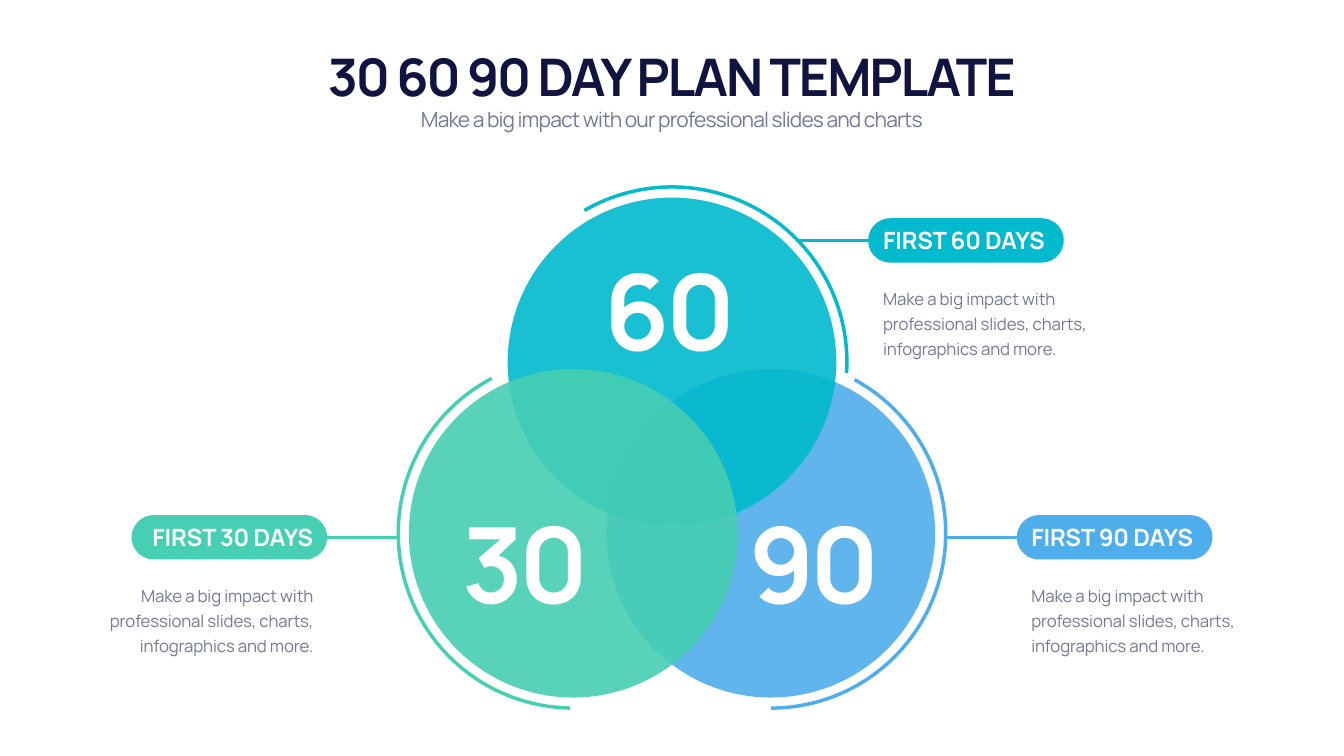
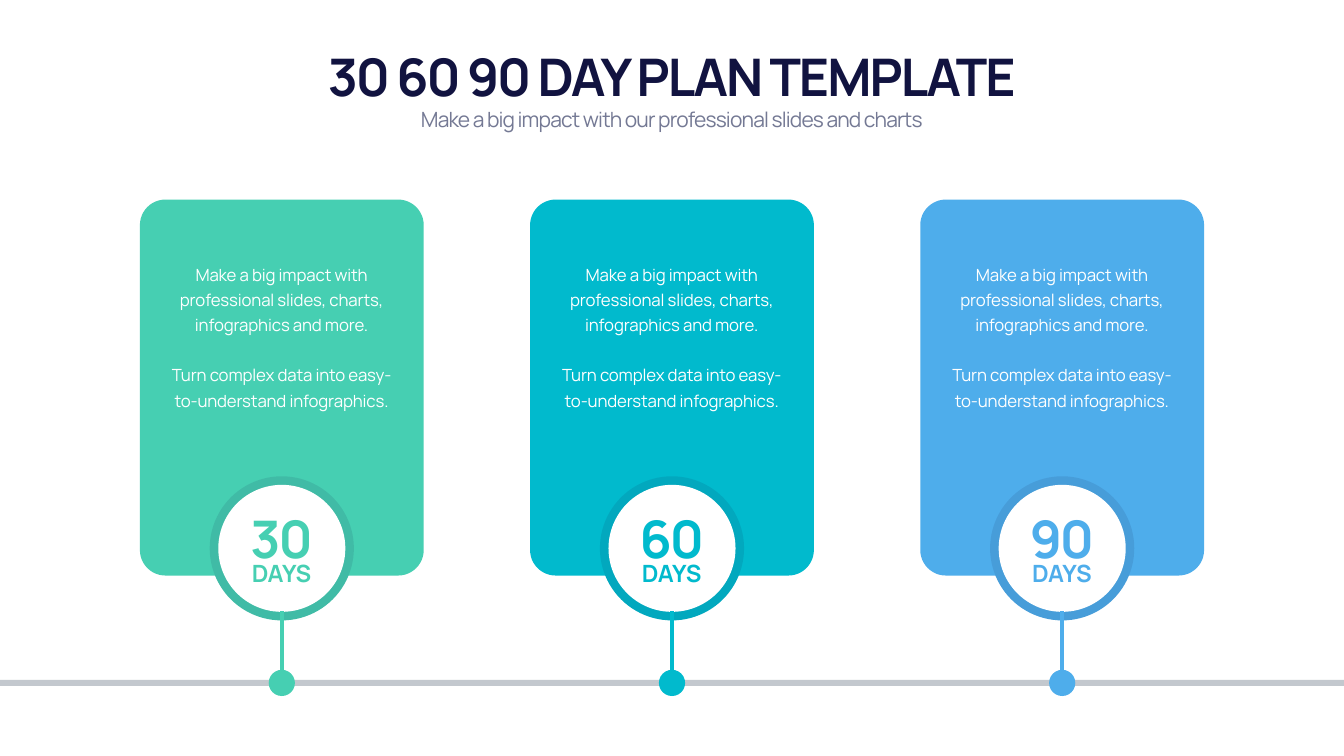
from lxml.etree import SubElement
from pptx import Presentation
from pptx.dml.color import RGBColor
from pptx.enum.shapes import MSO_CONNECTOR, MSO_SHAPE as SHAPE
from pptx.enum.text import MSO_ANCHOR as ANCHOR, MSO_AUTO_SIZE, PP_ALIGN as ALIGN
from pptx.oxml.ns import qn
from pptx.util import Inches, Pt

GREEN = RGBColor(0x46, 0xCF, 0xB2)
TEAL = RGBColor(0x01, 0xBA, 0xCD)
BLUE = RGBColor(0x4E, 0xAD, 0xEB)
NAVY = RGBColor(0x11, 0x13, 0x40)
SHADE = RGBColor(0x12, 0x11, 0x43)
SLATE = RGBColor(0x74, 0x79, 0x94)
RAIL = RGBColor(0xC3, 0xC8, 0xCE)
WHITE = RGBColor(0xFF, 0xFF, 0xFF)

FONT = "Manrope"
W, H = 26.66, 15
MID = W / 2

TITLE = "30 60 90 DAY PLAN TEMPLATE"
SUBTITLE = "Make a big impact with our professional slides and charts"
IMPACT = "Make a big impact with professional slides, charts, infographics and more."
TURN = "Turn complex data into easy-to-understand infographics."
STAGES = [("30", GREEN), ("60", TEAL), ("90", BLUE)]

# size, bold, letter spacing, line spacing
HEADING = (74, True, -2.9, None)
SUBHEAD = (30, False, -1.2, None)
LABEL = (34, True, -0.3, None)
BODY = (24, False, -0.2, 36)
HUGE = (150, True, -5.5, None)

VENN = {
    "30": dict(cx=MID - 1.96, cy=10.58, arc=(91, 242.3), num=(10.42, 11.13),
               line=(6.49, 7.9), pill=(2.61, 10.22), text_edge=6.31, align=ALIGN.RIGHT),
    "60": dict(cx=MID, cy=7.18, arc=(240, 3.6), num=(13.29, 6.12),
               line=(15.8, 17.23), pill=(17.22, 4.33), text_edge=17.42, align=ALIGN.LEFT),
    "90": dict(cx=MID + 1.96, cy=10.58, arc=(298.6, 90), num=(16.16, 11.14),
               line=(18.75, 20.18), pill=(20.17, 10.22), text_edge=20.36, align=ALIGN.LEFT),
}
CIRCLE_R, ARC_R = 3.26, 3.47
PILL_W, PILL_H = 3.88, 0.88

CARD_W, CARD_H, CARD_TOP, CARD_PITCH = 5.63, 7.46, 3.96, 7.74
BADGE_Y, RAIL_Y = 10.88, 13.55


def add_shape(slide, kind, x, y, w, h, fill=None, alpha=None, radius=None):
    sp = slide.shapes.add_shape(kind, Inches(x), Inches(y), Inches(w), Inches(h))
    sp.shadow.inherit = False
    sp.line.fill.background()
    if fill is None:
        sp.fill.background()
    else:
        sp.fill.solid()
        sp.fill.fore_color.rgb = fill
    if alpha is not None:
        color = sp._element.spPr.find(qn("a:solidFill"))[0]
        SubElement(color, qn("a:alpha")).set("val", str(alpha * 1000))
    if radius is not None:
        sp.adjustments[0] = radius
    return sp


def add_circle(slide, cx, cy, r, fill, alpha=None):
    return add_shape(slide, SHAPE.OVAL, cx - r, cy - r, 2 * r, 2 * r, fill, alpha)


def add_arc(slide, cx, cy, r, angles, color):
    sp = add_shape(slide, SHAPE.ARC, cx - r, cy - r, 2 * r, 2 * r)
    for i, degrees in enumerate(angles):
        sp.adjustments[i] = degrees * 0.6
    sp.line.color.rgb = color
    sp.line.width = Pt(5)


def add_line(slide, x1, y1, x2, y2, color, dot=False):
    line = slide.shapes.add_connector(
        MSO_CONNECTOR.STRAIGHT, Inches(x1), Inches(y1), Inches(x2), Inches(y2))
    line.line.color.rgb = color
    line.line.width = Pt(5)
    spPr = line._element.spPr
    if dot:
        SubElement(spPr.find(qn("a:ln")), qn("a:tailEnd")).set("type", "oval")
    SubElement(spPr, qn("a:effectLst"))


def add_text(slide, x, y, w, h, texts, style, color, align=ALIGN.CENTER, anchor=ANCHOR.TOP):
    size, bold, tracking, leading = style
    tf = slide.shapes.add_textbox(Inches(x), Inches(y), Inches(w), Inches(h)).text_frame
    tf.word_wrap = True
    tf.auto_size = MSO_AUTO_SIZE.SHAPE_TO_FIT_TEXT
    tf.vertical_anchor = anchor
    for i, text in enumerate(texts):
        p = tf.add_paragraph() if i else tf.paragraphs[0]
        p.text = text
        p.alignment = align
        if leading:
            p.line_spacing = Pt(leading)
            if i:
                p.space_before = Pt(leading)
        p.font.name = FONT
        p.font.size = Pt(size)
        p.font.bold = bold
        p.font.color.rgb = color
        p._p.pPr.find(qn("a:defRPr")).set("spc", str(round(tracking * 100)))


def add_slide(prs):
    slide = prs.slides.add_slide(prs.slide_layouts[6])
    slide.background.fill.solid()
    slide.background.fill.fore_color.rgb = WHITE
    add_text(slide, 1.66, 0.82, 23.33, 1.35, [TITLE], HEADING, NAVY, anchor=ANCHOR.BOTTOM)
    add_text(slide, 1.66, 2.07, 23.33, 0.61, [SUBTITLE], SUBHEAD, SLATE)
    return slide


def build_venn(slide):
    for days, color in reversed(STAGES):
        v = VENN[days]
        add_circle(slide, v["cx"], v["cy"], CIRCLE_R, color, 90)
    for days, color in STAGES:
        v = VENN[days]
        x, y = v["pill"]
        mid_y = y + PILL_H / 2
        add_arc(slide, v["cx"], v["cy"], ARC_R, v["arc"], color)
        add_line(slide, v["line"][0], mid_y, v["line"][1], mid_y, color)
        add_shape(slide, SHAPE.ROUNDED_RECTANGLE, x, y, PILL_W, PILL_H, color, radius=0.5)
        for w, h, dy, text, style, ink, anchor in [
            (3.54, 0.67, 0.1, f"FIRST {days} DAYS", LABEL, WHITE, ANCHOR.MIDDLE),
            (4.51, 1.59, 1.25, IMPACT, BODY, SLATE, ANCHOR.TOP),
        ]:
            left = v["text_edge"] - (w if v["align"] == ALIGN.RIGHT else 0)
            add_text(slide, left, y + dy, w, h, [text], style, ink, v["align"], anchor)
        cx, cy = v["num"]
        add_text(slide, cx - 1.89, cy - 1.31, 3.78, 2.63, [days], HUGE, WHITE,
                 anchor=ANCHOR.MIDDLE)


def build_timeline(slide):
    add_shape(slide, SHAPE.RECTANGLE, 0, RAIL_Y - 0.06, W, 0.12, RAIL)
    for i, (days, color) in enumerate(STAGES):
        cx = MID + (i - 1) * CARD_PITCH
        add_shape(slide, SHAPE.ROUNDED_RECTANGLE, cx - CARD_W / 2, CARD_TOP,
                  CARD_W, CARD_H, color, radius=0.09)
        add_circle(slide, cx, BADGE_Y, 1.43, color)
        add_circle(slide, cx, BADGE_Y, 1.43, SHADE, 10)
        add_circle(slide, cx, BADGE_Y, 1.26, WHITE)
        add_line(slide, cx, BADGE_Y + 1.25, cx, RAIL_Y, color, dot=True)
        add_circle(slide, cx, RAIL_Y, 0.26, color)
        add_text(slide, cx - 1.17, 11.03, 2.33, 0.67, ["DAYS"], LABEL, color)
        add_text(slide, cx - 2.42, 4.84, 4.83, 3.61, [IMPACT, TURN], BODY, WHITE,
                 anchor=ANCHOR.MIDDLE)
        add_text(slide, cx - 1.17, 9.99, 2.33, 1.35, [days], HEADING, color,
                 anchor=ANCHOR.BOTTOM)


def main():
    prs = Presentation()
    prs.slide_width, prs.slide_height = Inches(W), Inches(H)
    build_venn(add_slide(prs))
    build_timeline(add_slide(prs))
    prs.save("out.pptx")


if __name__ == "__main__":
    main()
